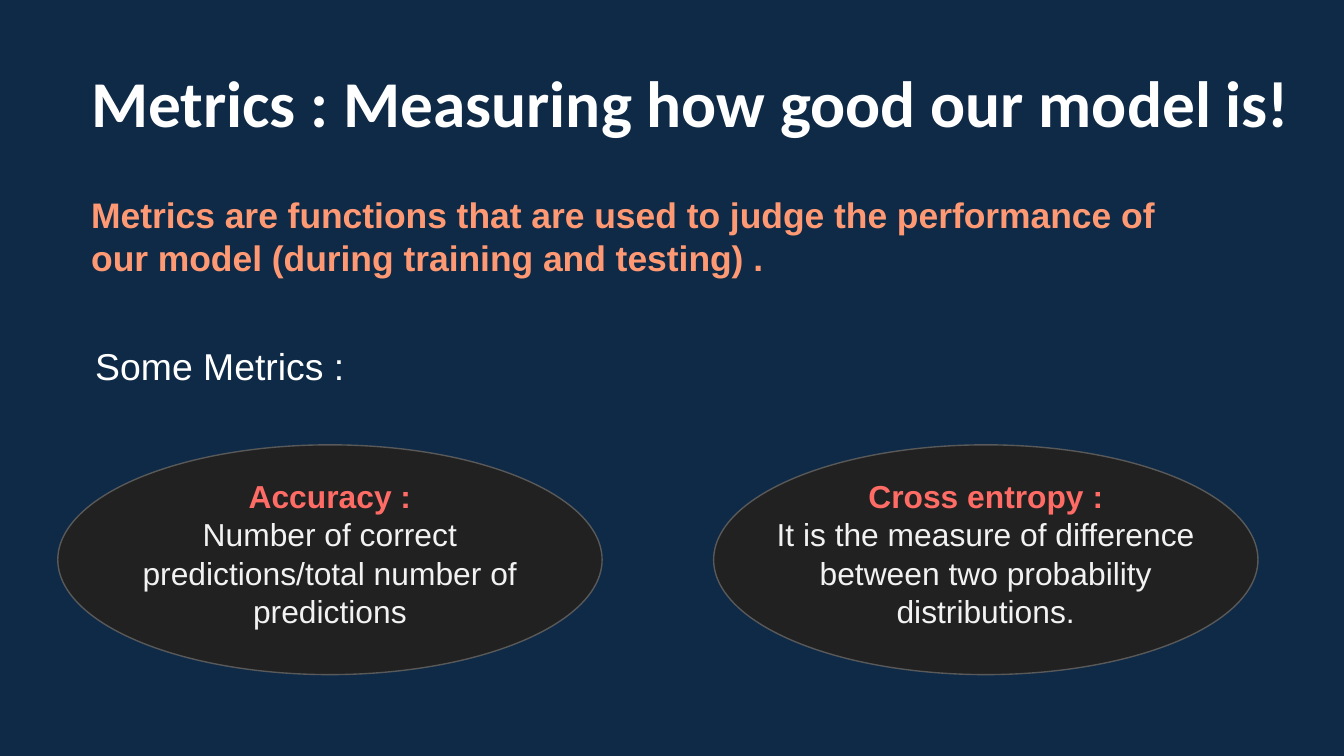
from typing import NamedTuple

from pptx import Presentation
from pptx import util as u
from pptx.dml.color import RGBColor
from pptx.enum import shapes, text

PX = 4572  # EMU per px, 200 px to the inch
PAD = 20 * PX

NAVY = RGBColor(0x0E, 0x2A, 0x47)
WHITE = RGBColor(0xFF, 0xFF, 0xFF)
PEACH = RGBColor(0xFF, 0x99, 0x73)
CORAL = RGBColor(0xFF, 0x6B, 0x65)
PALE = RGBColor(0xF2, 0xF2, 0xF2)
BLACK = RGBColor(0x21, 0x21, 0x21)
GREY = RGBColor(0x59, 0x59, 0x59)


class Box(NamedTuple):
    left: int
    top: int
    width: int
    height: int

    def emu(self) -> list[int]:
        return [n * PX for n in self]


class Line(NamedTuple):
    words: str
    color: RGBColor
    bold: bool = False


class Metric(NamedTuple):
    oval: Box
    label: Box
    name: str
    meaning: str


METRICS = [
    Metric(Box(86, 662, 810, 342), Box(126, 690, 730, 270), "Accuracy :",
           "Number of correct predictions/total number of predictions"),
    Metric(Box(1062, 662, 810, 342), Box(1118, 690, 698, 270), "Cross entropy :",
           "It is the measure of difference between two probability distributions."),
]


def write(slide, box: Box, lines: list[Line], *, size: int,
          font: str = "Arial", align=text.PP_ALIGN.LEFT) -> None:
    frame = slide.shapes.add_textbox(*box.emu()).text_frame
    frame.word_wrap = True
    frame.margin_left = frame.margin_right = PAD
    frame.margin_top = frame.margin_bottom = PAD
    for i, line in enumerate(lines):
        para = frame.add_paragraph() if i else frame.paragraphs[0]
        para.alignment = align
        run = para.add_run()
        run.text = line.words
        run.font.name = font
        run.font.size = u.Pt(size)
        run.font.bold = line.bold
        run.font.color.rgb = line.color


def draw(slide, metric: Metric) -> None:
    oval = slide.shapes.add_shape(shapes.MSO_SHAPE.OVAL, *metric.oval.emu())
    oval.shadow.inherit = False
    oval.fill.solid()
    oval.fill.fore_color.rgb = BLACK
    oval.line.color.rgb = GREY
    oval.line.width = u.Pt(0.75)
    lines = [Line(metric.name, CORAL, True), Line(metric.meaning, PALE)]
    write(slide, metric.label, lines, size=17, align=text.PP_ALIGN.CENTER)


def main() -> None:
    deck = Presentation()
    deck.slide_width, deck.slide_height = 2000 * PX, 1125 * PX
    slide = deck.slides.add_slide(deck.slide_layouts[6])
    slide.background.fill.solid()
    slide.background.fill.fore_color.rgb = NAVY

    title = Line("Metrics : Measuring how good our model is!", WHITE, True)
    write(slide, Box(116, 72, 1862, 126), [title], size=35, font="Calibri")
    intro = Line("Metrics are functions that are used to judge the performance "
                 "of our model (during training and testing) .", PEACH, True)
    write(slide, Box(116, 268, 1638, 168), [intro], size=19)
    write(slide, Box(122, 490, 1624, 108), [Line("Some Metrics :", WHITE)], size=20)
    for metric in METRICS:
        draw(slide, metric)
    deck.save("out.pptx")


if __name__ == "__main__":
    main()
